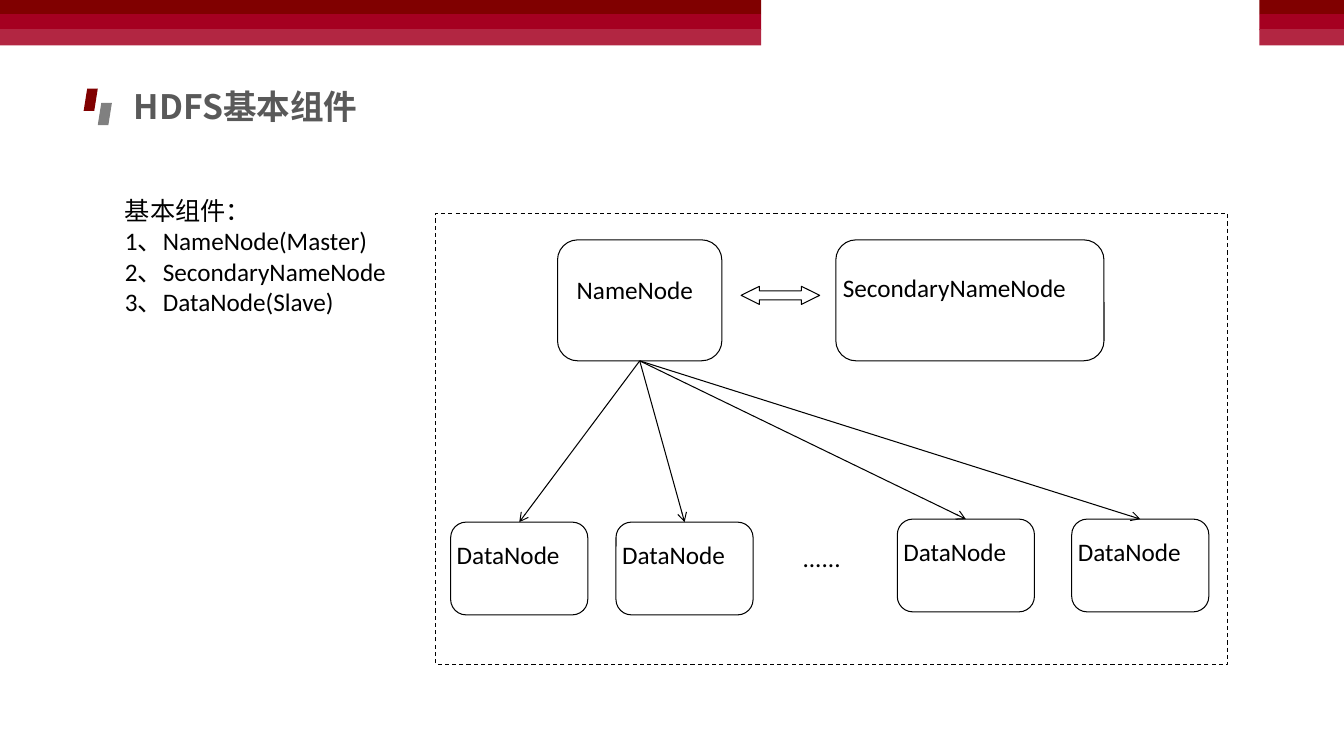
from lxml import etree
from pptx import Presentation
from pptx.dml.color import RGBColor
from pptx.enum import dml, shapes, text
from pptx.oxml.ns import qn
from pptx.util import Inches, Pt

CJK = "Noto Sans CJK SC"
BLACK, WHITE = "000000", "FFFFFF"
TITLE = "HDFS基本组件"
COMPONENTS = ["基本组件：", "1、NameNode(Master)", "2、SecondaryNameNode", "3、DataNode(Slave)"]

# (top, height, colour) and (left, width) of the header stripes
STRIPES = [(0, 0.14, "800000"), (0.14, 0.16, "A50021"), (0.29, 0.16, "B22642")]
STRIPE_SPANS = [(0, 7.55), (12.49, 0.84)]
MARKS = [(0.83, 0.88, "800000"), (0.97, 1.02, "808080")]

FRAME = (4.32, 2.12, 7.86, 4.47)
# label, box, label offset inside the box, label width
MASTERS = [
    ("NameNode", (5.53, 2.38, 1.63, 1.2), (0.19, 0.34), 1.35),
    ("SecondaryNameNode", (8.29, 2.38, 2.66, 1.2), (0.07, 0.32), 2.52),
]
DATA_NODES = [
    ("DataNode", (left, top, 1.36, 0.92), (0.06, 0.17), 1.18)
    for left, top in [(4.47, 5.18), (6.11, 5.18), (8.9, 5.15), (10.63, 5.15)]
]
SYNC_ARROW = (7.35, 2.84, 0.78, 0.18)
ELLIPSIS = (7.96, 5.38, 0.57, 0.4)

prs = Presentation()
prs.slide_width, prs.slide_height = Inches(13.33), Inches(7.5)
s = prs.slides.add_slide(prs.slide_layouts[6])


def rgb(value):
    return RGBColor.from_string(value)


def add_box(kind, box, fill=WHITE, outlined=False):
    sp = s.shapes.add_shape(kind, *map(Inches, box))
    sp.shadow.inherit = False
    sp.fill.solid()
    sp.fill.fore_color.rgb = rgb(fill)
    if outlined:
        sp.line.color.rgb = rgb(BLACK)
        sp.line.width = Pt(0.75)
    else:
        sp.line.fill.background()
    return sp


def add_text(box, lines, size=18, font="Calibri", color=BLACK, bold=False, inset=True):
    tf = s.shapes.add_textbox(*map(Inches, box)).text_frame
    tf.word_wrap = True
    tf.vertical_anchor = text.MSO_ANCHOR.TOP
    if not inset:
        tf.margin_left = tf.margin_right = tf.margin_top = tf.margin_bottom = 0
    for i, line in enumerate(lines):
        p = tf.paragraphs[0] if i == 0 else tf.add_paragraph()
        p.text = line
        p.font.size, p.font.name, p.font.bold = Pt(size), font, bold
        p.font.color.rgb = rgb(color)
        latin = p._p.pPr.find(qn("a:defRPr")).find(qn("a:latin"))
        east_asian = etree.Element(qn("a:ea"), typeface=CJK)
        latin.addnext(east_asian)


def add_node(label, box, offset, width):
    sp = add_box(shapes.MSO_SHAPE.ROUNDED_RECTANGLE, box, outlined=True)
    add_text((box[0] + offset[0], box[1] + offset[1], width, 0.47), [label], inset=False)
    return sp


def link(source, target):
    """Arrow from the bottom of source to the top of target."""
    line = s.shapes.add_connector(shapes.MSO_CONNECTOR.STRAIGHT, 0, 0, 0, 0)
    line.begin_connect(source, 2)
    line.end_connect(target, 0)
    line.line.color.rgb = rgb(BLACK)
    line.line.width = Pt(0.75)
    etree.SubElement(line.line._get_or_add_ln(), qn("a:tailEnd"), type="arrow")
    etree.SubElement(line._element.spPr, qn("a:effectLst"))


for left, width in STRIPE_SPANS:
    for top, height, color in STRIPES:
        add_box(shapes.MSO_SHAPE.RECTANGLE, (left, top, width, height), color)

add_text((1.23, 0.8, 5.84, 0.5), [TITLE], 24, CJK, "595959", True)
for left, top, color in MARKS:
    add_box(shapes.MSO_SHAPE.PARALLELOGRAM, (left, top, 0.14, 0.22), color)
add_text((1.14, 1.89, 2.79, 1.31), COMPONENTS)

frame = add_box(shapes.MSO_SHAPE.RECTANGLE, FRAME, outlined=True)
frame.line.dash_style = dml.MSO_LINE.DASH
name_node, secondary = [add_node(*node) for node in MASTERS]
data_nodes = [add_node(*node) for node in DATA_NODES]

sync = add_box(shapes.MSO_SHAPE.LEFT_RIGHT_ARROW, SYNC_ARROW, outlined=True)
sync.adjustments[0], sync.adjustments[1] = 0.5, 1.01
add_text(ELLIPSIS, ["......"], inset=False)
for data_node in data_nodes:
    link(name_node, data_node)

prs.save("out.pptx")
